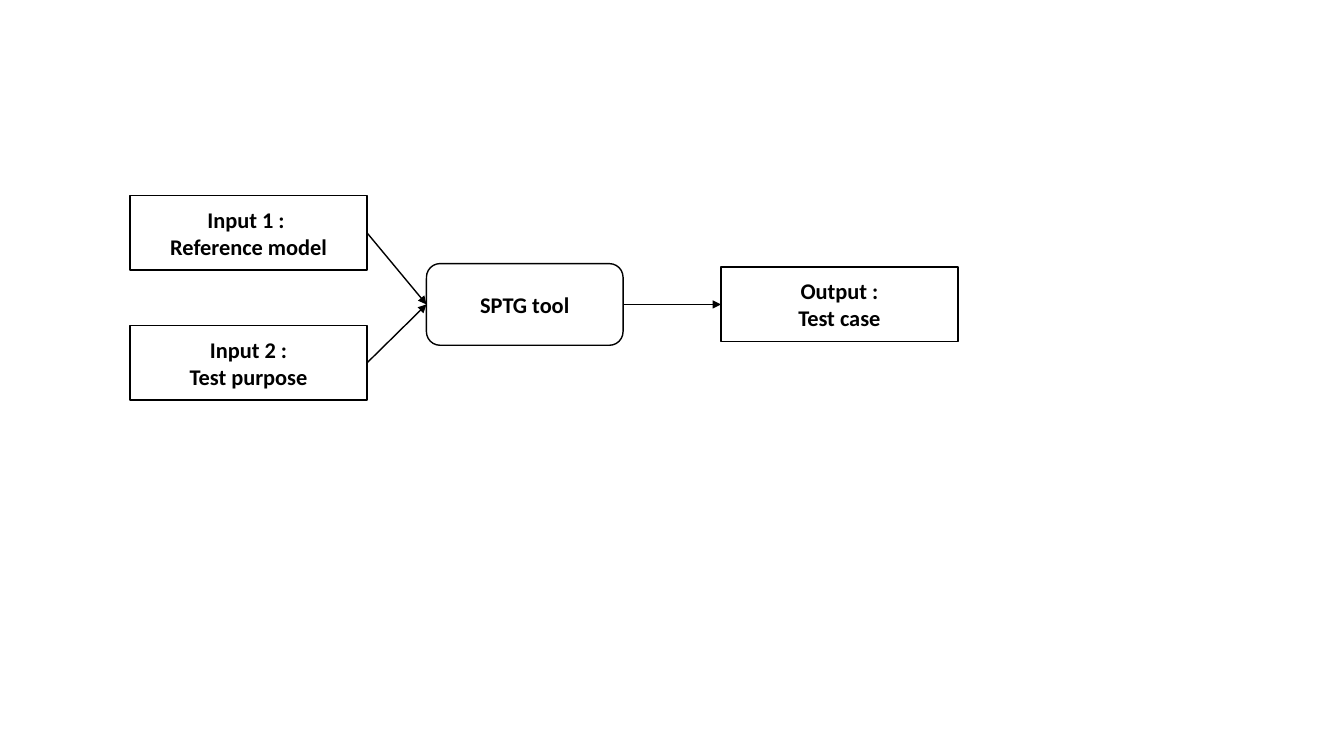
from lxml.etree import SubElement
from pptx import Presentation
from pptx.dml.color import RGBColor
from pptx.enum.shapes import MSO_CONNECTOR as Link, MSO_SHAPE as Form
from pptx.enum.text import MSO_ANCHOR as Anchor, PP_ALIGN as Align
from pptx.oxml.ns import qn
from pptx.util import Inches, Pt

BLACK = RGBColor(0, 0, 0)
WIDE, HIGH = Inches(13.33), Inches(7.5)
LEFT, RIGHT = 1, 3  # connection sites of a box

# Percent of the slide's width or height
IN_X, TOOL_X, OUT_X = 9.68, 31.73, 53.64
TOP_Y, MID_Y, LOW_Y = 30.8, 40.27, 48
DATA = (17.63, 9.87)
TOOL = (14.63, 10.8)


def across(share):
    return round(WIDE * share / 100)


def down(share):
    return round(HIGH * share / 100)


def add_box(slide, form, left, mid, size, lines):
    """Add an outlined box, centred vertically on mid."""
    wide, high = size
    box = slide.shapes.add_shape(
        form, across(left), down(mid - high / 2), across(wide), down(high))
    box.shadow.inherit = False
    box.fill.background()
    box.line.color.rgb = BLACK
    box.line.width = Pt(1)
    frame = box.text_frame
    frame.word_wrap = True
    frame.vertical_anchor = Anchor.MIDDLE
    for i, line in enumerate(lines):
        para = frame.add_paragraph() if i else frame.paragraphs[0]
        para.alignment = Align.CENTER
        run = para.add_run()
        run.text = line
        font = run.font
        font.name, font.size, font.bold = "Calibri", Pt(16), True
        font.color.rgb = BLACK
    return box


def add_arrow(slide, start, end):
    """Join the right side of start to the left side of end."""
    arrow = slide.shapes.add_connector(Link.STRAIGHT, 0, 0, 0, 0)
    arrow.begin_connect(start, RIGHT)
    arrow.end_connect(end, LEFT)
    arrow.line.color.rgb = BLACK
    arrow.line.width = Pt(1)
    SubElement(arrow.line._get_or_add_ln(), qn("a:tailEnd"), type="triangle")
    SubElement(arrow._element.spPr, qn("a:effectLst"))


def main():
    deck = Presentation()
    deck.slide_width, deck.slide_height = WIDE, HIGH
    slide = deck.slides.add_slide(deck.slide_layouts.get_by_name("Blank"))

    tool = add_box(slide, Form.ROUNDED_RECTANGLE, TOOL_X, MID_Y, TOOL,
                   ["SPTG tool"])
    model = add_box(slide, Form.RECTANGLE, IN_X, TOP_Y, DATA,
                    ["Input 1 : ", "Reference model"])
    purpose = add_box(slide, Form.RECTANGLE, IN_X, LOW_Y, DATA,
                      ["Input 2 :", "Test purpose"])
    case = add_box(slide, Form.RECTANGLE, OUT_X, MID_Y, DATA,
                   ["Output :", "Test case"])

    for start, end in ((model, tool), (purpose, tool), (tool, case)):
        add_arrow(slide, start, end)

    deck.save("out.pptx")


if __name__ == "__main__":
    main()
